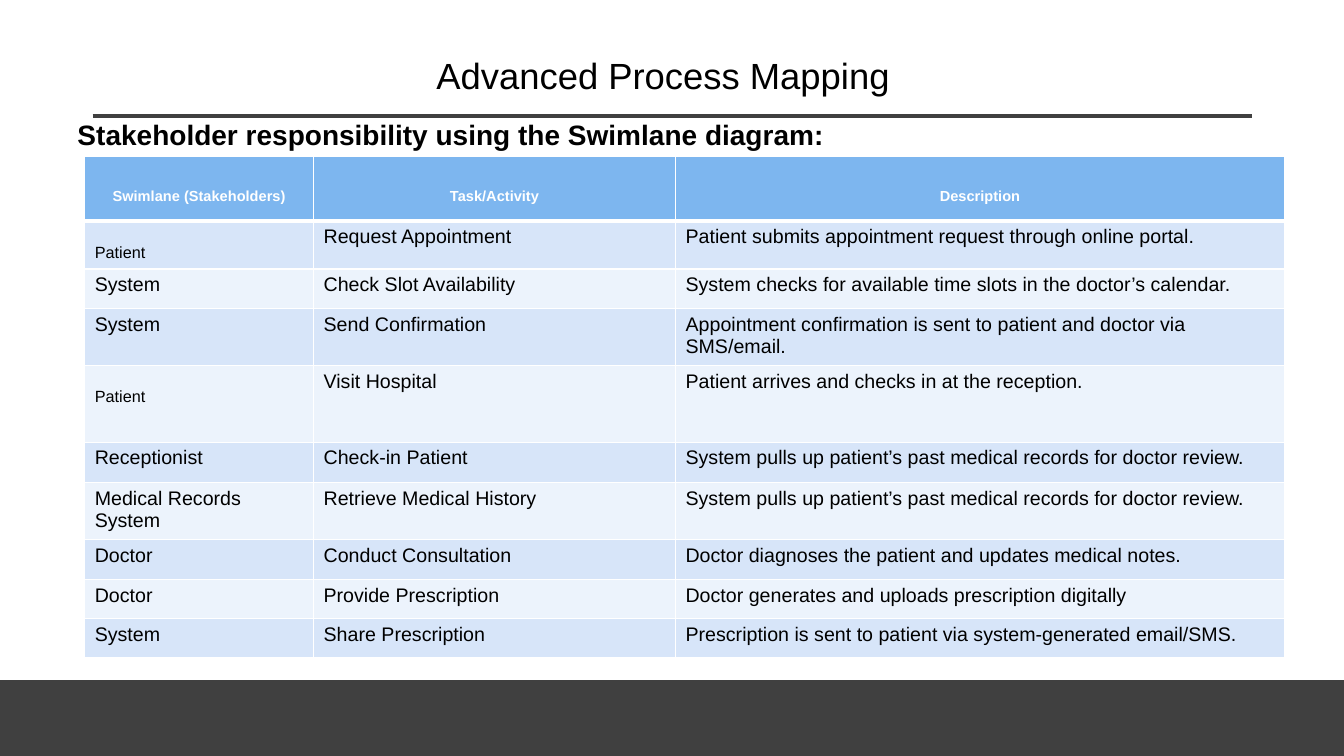
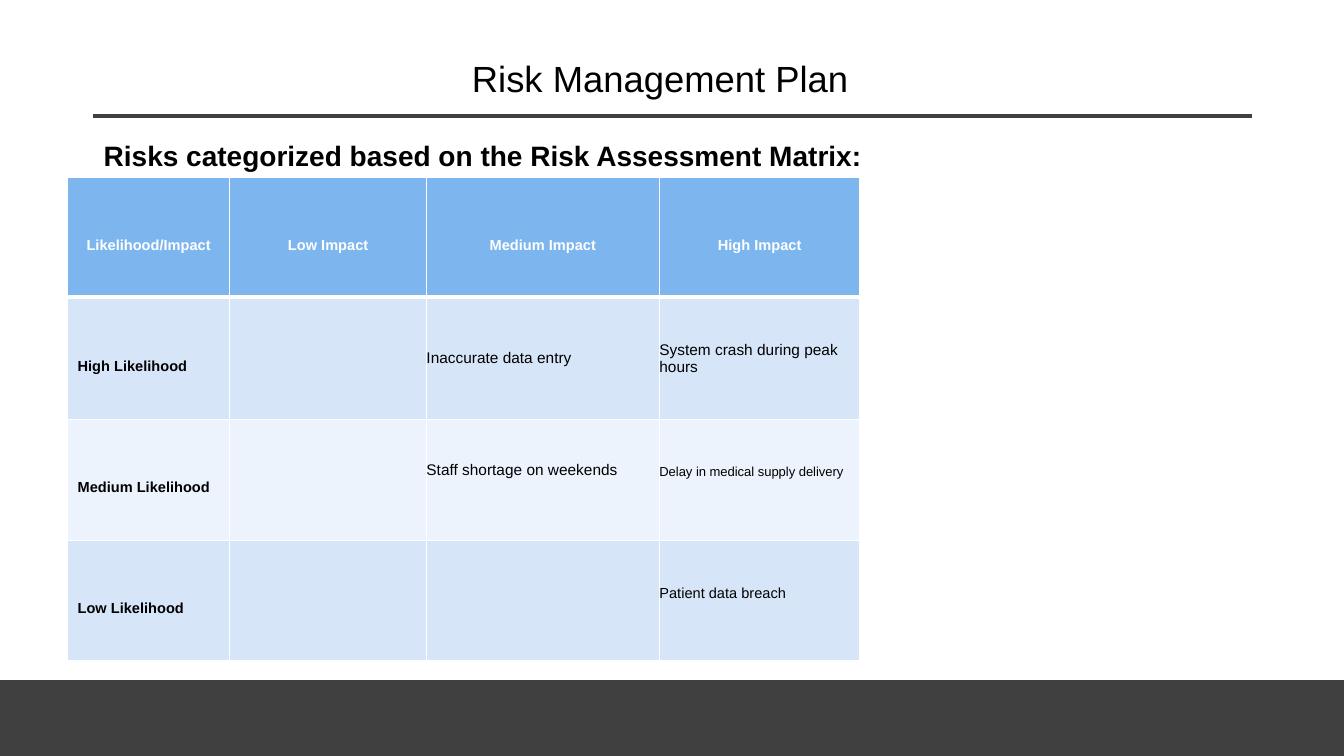
from typing import NamedTuple

from lxml.etree import SubElement
from pptx import Presentation
from pptx.dml.color import RGBColor
from pptx.enum.shapes import MSO_CONNECTOR, MSO_SHAPE
from pptx.enum.text import MSO_ANCHOR, PP_ALIGN
from pptx.oxml import parse_xml
from pptx.oxml.ns import nsdecls, qn
from pptx.util import Inches, Pt

WIDTH, HEIGHT = 13.33, 7.5
FONT = "Arial"
COLORS = {
    "dark": "404040",
    "black": "000000",
    "white": "FFFFFF",
    "header": "7DB6EF",
    "odd_row": "D7E5F9",
    "even_row": "ECF3FC",
}


class Box(NamedTuple):
    left: float
    top: float
    width: float
    height: float

    def inches(self):
        return [Inches(length) for length in self]


class Style(NamedTuple):
    size: float
    bold: bool = False
    color: str = "black"
    subscript: bool = False


class Cell(NamedTuple):
    text: str
    style: Style
    flush: bool = False
    lift: float = 0


TITLE = Style(26)
SUBTITLE = Style(20, bold=True)
HEADER = Style(18, bold=True, color="white", subscript=True)
TASK = Style(14)
LOW_TASK = Style(20, subscript=True)
LIKELIHOOD = Style(18, bold=True, subscript=True)
RISK = Style(11)


def color_of(name):
    return RGBColor.from_string(COLORS[name])


def write(paragraph, text, style):
    run = paragraph.add_run()
    run.text = text
    font = run.font
    font.name, font.size, font.bold = FONT, Pt(style.size), style.bold
    font.color.rgb = color_of(style.color)
    if style.subscript:
        run._r.get_or_add_rPr().set("baseline", "-25000")


def add_text(slide, box, text, style, align, anchor):
    frame = slide.shapes.add_textbox(*box.inches()).text_frame
    frame.word_wrap = True
    frame.vertical_anchor = anchor
    paragraph = frame.paragraphs[0]
    paragraph.alignment = align
    write(paragraph, text, style)


def add_footer_band(slide):
    box = Box(0, HEIGHT * 0.9, WIDTH, HEIGHT * 0.1)
    band = slide.shapes.add_shape(MSO_SHAPE.RECTANGLE, *box.inches())
    band.shadow.inherit = False
    band.fill.solid()
    band.fill.fore_color.rgb = color_of("dark")
    band.line.color.rgb = color_of("dark")
    band.line.width = Pt(1)


def add_title_rule(slide):
    left, right, y = Inches(0.92), Inches(12.42), Inches(1.15)
    rule = slide.shapes.add_connector(MSO_CONNECTOR.STRAIGHT, left, y, right, y)
    rule.line.color.rgb = color_of("dark")
    rule.line.width = Pt(3)
    SubElement(rule._element.spPr, qn("a:effectLst"))


def add_slide(presentation, title, title_box, subtitle, subtitle_box):
    """Add a slide with the shared band, rule, title and subtitle."""
    slide = presentation.slides.add_slide(presentation.slide_layouts[6])
    add_footer_band(slide)
    add_title_rule(slide)
    add_text(slide, title_box, title, TITLE, PP_ALIGN.CENTER, MSO_ANCHOR.MIDDLE)
    add_text(slide, subtitle_box, subtitle, SUBTITLE, PP_ALIGN.LEFT, MSO_ANCHOR.TOP)
    return slide


def set_borders(cell, row_index):
    """Draw thin white edges, with a thick one under the header row."""
    widths = {
        "lnL": 1,
        "lnR": 1,
        "lnT": 3 if row_index == 1 else 1,
        "lnB": 3 if row_index == 0 else 1,
    }
    properties = cell._tc.get_or_add_tcPr()
    for position, (edge, width) in enumerate(widths.items()):
        properties.insert(position, parse_xml(
            f'<a:{edge} {nsdecls("a")} w="{Pt(width)}"><a:solidFill>'
            f'<a:srgbClr val="{COLORS["white"]}"/></a:solidFill></a:{edge}>'))


def fill_cell(cell, content, row_index, anchor):
    is_header = row_index == 0
    band = "odd_row" if row_index % 2 else "even_row"
    cell.fill.solid()
    cell.fill.fore_color.rgb = color_of("header" if is_header else band)
    set_borders(cell, row_index)
    cell.vertical_anchor = MSO_ANCHOR.MIDDLE if is_header else anchor
    if content is None:
        return
    if content.flush:
        cell.margin_left = cell.margin_right = cell.margin_top = 0
        cell.margin_bottom = Inches(content.lift)
    paragraph = cell.text_frame.paragraphs[0]
    paragraph.alignment = PP_ALIGN.CENTER if is_header else PP_ALIGN.LEFT
    write(paragraph, content.text, content.style)


def add_grid(slide, left, top, widths, heights, headers, body, anchor):
    rows = [[Cell(text, HEADER) for text in headers], *body]
    box = Box(left, top, sum(widths), sum(heights))
    table = slide.shapes.add_table(len(rows), len(widths), *box.inches()).table
    for column, width in zip(table.columns, widths):
        column.width = Inches(width)
    for row_index, (row, height, contents) in enumerate(zip(table.rows, heights, rows)):
        row.height = Inches(height)
        for cell, content in zip(row.cells, contents):
            fill_cell(cell, content, row_index, anchor)


def add_process_slide(presentation):
    slide = add_slide(
        presentation,
        "Advanced Process Mapping", Box(0.83, 0.37, 11.5, 0.75),
        "Stakeholder responsibility using the Swimlane diagram:",
        Box(0.67, 1.12, 12.31, 0.48))
    tasks = [
        ("Patient", "Request Appointment",
         "Patient submits appointment request through online portal."),
        ("System", "Check Slot Availability",
         "System checks for available time slots in the doctor’s calendar."),
        ("System", "Send Confirmation",
         "Appointment confirmation is sent to patient and doctor via SMS/email."),
        ("Patient", "Visit Hospital",
         "Patient arrives and checks in at the reception."),
        ("Receptionist", "Check-in Patient",
         "System pulls up patient’s past medical records for doctor review."),
        ("Medical Records System", "Retrieve Medical History",
         "System pulls up patient’s past medical records for doctor review."),
        ("Doctor", "Conduct Consultation",
         "Doctor diagnoses the patient and updates medical notes."),
        ("Doctor", "Provide Prescription",
         "Doctor generates and uploads prescription digitally"),
        ("System", "Share Prescription",
         "Prescription is sent to patient via system-generated email/SMS."),
    ]
    body = [
        [Cell(text, LOW_TASK if text == "Patient" else TASK) for text in task]
        for task in tasks
    ]
    add_grid(
        slide, 0.84, 1.55,
        widths=[2.27, 3.59, 6.04],
        heights=[0.64, 0.46, 0.39, 0.54, 0.76, 0.4, 0.57, 0.39, 0.39, 0.39],
        headers=["Swimlane (Stakeholders)", "Task/Activity", "Description"],
        body=body, anchor=MSO_ANCHOR.TOP)


def add_risk_slide(presentation):
    slide = add_slide(
        presentation,
        "Risk Management Plan", Box(0.8, 0.4, 11.5, 0.75),
        "Risks categorized based on the Risk Assessment Matrix:",
        Box(0.93, 1.32, 11.5, 0.48))
    body = [
        [Cell("High Likelihood", LIKELIHOOD), None,
         Cell("Inaccurate data entry", RISK, flush=True),
         Cell("System crash during peak hours", RISK, flush=True)],
        [Cell("Medium Likelihood", LIKELIHOOD), None,
         Cell("Staff shortage on weekends", RISK, flush=True, lift=0.2),
         Cell("Delay in medical supply delivery", Style(16, subscript=True),
              flush=True, lift=0.3)],
        [Cell("Low Likelihood", LIKELIHOOD), None, None,
         Cell("Patient data breach", Style(18, subscript=True),
              flush=True, lift=0.3)],
    ]
    add_grid(
        slide, 0.67, 1.76,
        widths=[1.61, 1.95, 2.31, 1.99],
        heights=[1.19, 1.21, 1.2, 1.19],
        headers=["Likelihood/Impact", "Low Impact", "Medium Impact", "High Impact"],
        body=body, anchor=MSO_ANCHOR.MIDDLE)


def main():
    presentation = Presentation()
    presentation.slide_width = Inches(WIDTH)
    presentation.slide_height = Inches(HEIGHT)
    add_process_slide(presentation)
    add_risk_slide(presentation)
    presentation.save("out.pptx")


if __name__ == "__main__":
    main()
